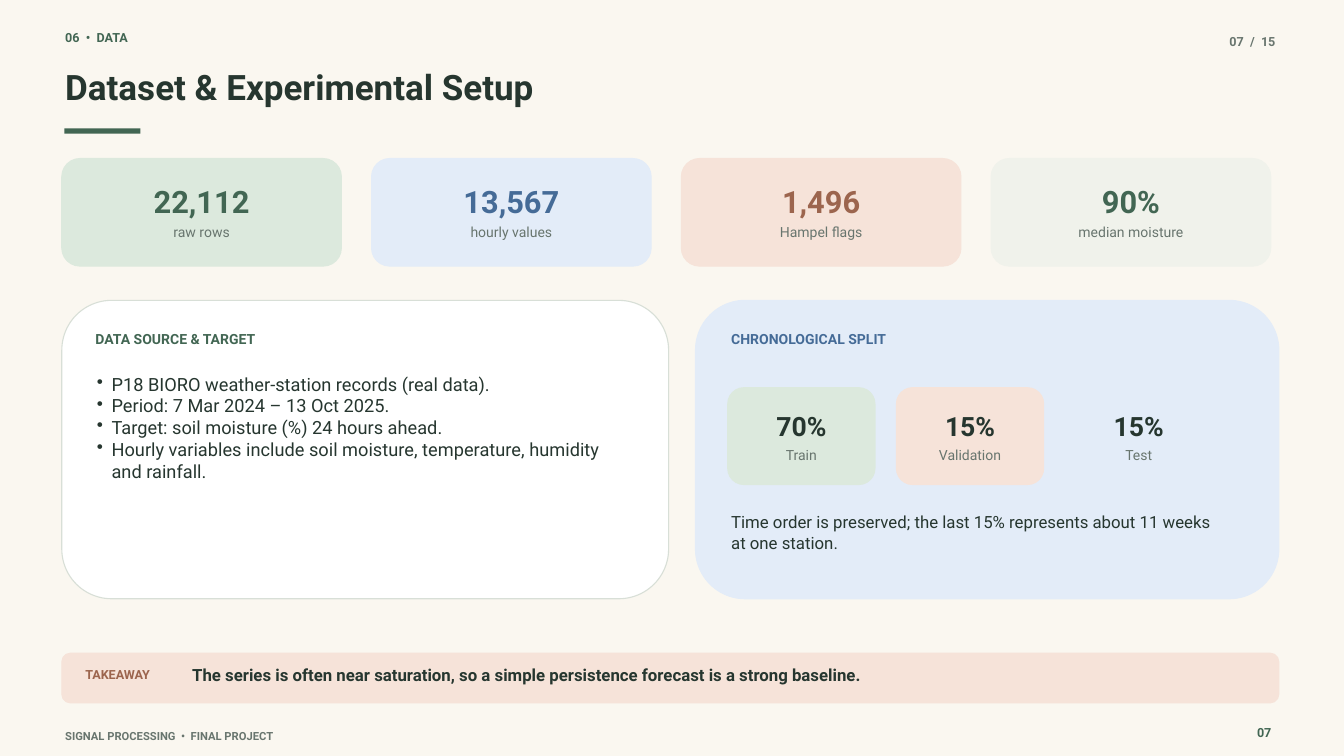
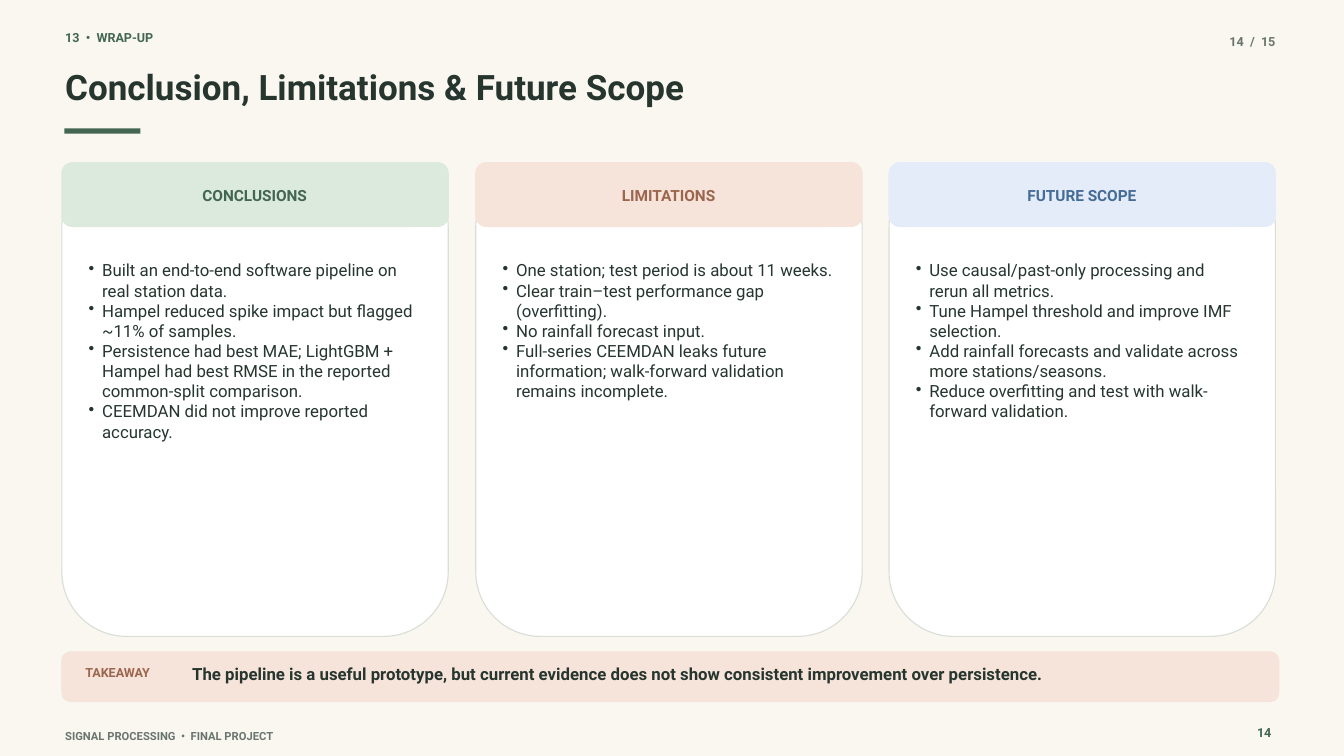
"""Build the dataset and conclusion slides of the signal processing project."""
from lxml import etree
from pptx import Presentation
from pptx import util as u
from pptx.dml.color import RGBColor
from pptx.enum import shapes, text
from pptx.oxml import ns

PX = 9144
FONT = "Roboto"
CREAM, WHITE, BORDER, INK, GREY = "FAF7F0", "FFFFFF", "D8DFD7", "26362F", "68756E"
GREEN, BLUE, RUST = "426653", "456B97", "9C654E"
MINT, SKY, PEACH, MIST = "DCE9DD", "E3ECF8", "F6E3D9", "F0F2EB"
DOT = "  •  "
LEFT, TEXT_LEFT, BAND_WIDTH = 92, 97, 1811
PAGE_COUNT = 15
FOOTER = DOT.join(["SIGNAL PROCESSING", "FINAL PROJECT"])

DATA = {
    "page": 7,
    "section": ["06", "DATA"],
    "title": "Dataset & Experimental Setup",
    "takeaway": "The series is often near saturation, so a simple persistence "
                "forecast is a strong baseline.",
    "takeaway_top": 972,
    "metrics": [
        ("22,112", "raw rows", MINT, GREEN),
        ("13,567", "hourly values", SKY, BLUE),
        ("1,496", "Hampel flags", PEACH, RUST),
        ("90%", "median moisture", MIST, GREEN),
    ],
    "source_heading": "DATA SOURCE & TARGET",
    "source": [
        "P18 BIORO weather-station records (real data).",
        "Period: 7 Mar 2024 – 13 Oct 2025.",
        "Target: soil moisture (%) 24 hours ahead.",
        "Hourly variables include soil moisture, temperature, humidity and rainfall.",
    ],
    "split_heading": "CHRONOLOGICAL SPLIT",
    "split": [
        ("70%", "Train", MINT),
        ("15%", "Validation", PEACH),
        ("15%", "Test", SKY),
    ],
    "split_note": "Time order is preserved; the last 15% represents about 11 weeks "
                  "at one station.",
}

WRAP_UP = {
    "page": 14,
    "section": ["13", "WRAP-UP"],
    "title": "Conclusion, Limitations & Future Scope",
    "takeaway": "The pipeline is a useful prototype, but current evidence does not show "
                "consistent improvement over persistence.",
    "takeaway_top": 970,
    "columns": [
        ("CONCLUSIONS", MINT, GREEN, [
            "Built an end-to-end software pipeline on real station data.",
            "Hampel reduced spike impact but flagged ~11% of samples.",
            "Persistence had best MAE; LightGBM + Hampel had best RMSE in the "
            "reported common-split comparison.",
            "CEEMDAN did not improve reported accuracy.",
        ]),
        ("LIMITATIONS", PEACH, RUST, [
            "One station; test period is about 11 weeks.",
            "Clear train–test performance gap (overfitting).",
            "No rainfall forecast input.",
            "Full-series CEEMDAN leaks future information; walk-forward validation "
            "remains incomplete.",
        ]),
        ("FUTURE SCOPE", SKY, BLUE, [
            "Use causal/past-only processing and rerun all metrics.",
            "Tune Hampel threshold and improve IMF selection.",
            "Add rainfall forecasts and validate across more stations/seasons.",
            "Reduce overfitting and test with walk-forward validation.",
        ]),
    ],
}


def rgb(code):
    """Turn a hex string into a colour."""
    return RGBColor.from_string(code)


def emu(*lengths):
    """Scale px lengths to EMU."""
    return [u.Emu(round(length * PX)) for length in lengths]


def spread(left, right, count, width):
    """Return the left edges of equal items that fill a span with equal gaps."""
    step = (right - left - width) / (count - 1)
    return [round(left + step * i) for i in range(count)]


def add_bullet(paragraph, indent):
    """Give a paragraph a round bullet with a hanging indent."""
    properties = paragraph._p.get_or_add_pPr()
    hang = emu(indent)[0]
    properties.set("marL", str(hang))
    properties.set("indent", str(-hang))
    etree.SubElement(properties, ns.qn("a:buChar")).set("char", "•")


def write(slide, box, lines, size, color, bold=False, align="LEFT", bullet=0):
    """Place a text box with one paragraph per line."""
    frame = slide.shapes.add_textbox(*emu(*box)).text_frame
    frame.word_wrap = True
    frame.margin_left = frame.margin_right = frame.margin_top = frame.margin_bottom = 0
    frame.text = "\n".join(lines) if isinstance(lines, list) else lines
    for paragraph in frame.paragraphs:
        if bullet:
            add_bullet(paragraph, bullet)
        paragraph.alignment = getattr(text.PP_ALIGN, align)
        paragraph.line_spacing = u.Pt(size * 1.2)
        for run in paragraph.runs:
            run.font.name, run.font.size, run.font.bold = FONT, u.Pt(size), bold
            run.font.color.rgb = rgb(color)


def panel(slide, box, radius, fill, border=None):
    """Draw a rounded panel, or a plain bar when the radius is zero."""
    preset = "ROUNDED_RECTANGLE" if radius else "RECTANGLE"
    shape = slide.shapes.add_shape(getattr(shapes.MSO_SHAPE, preset), *emu(*box))
    shape.shadow.inherit = False
    shape.fill.solid()
    shape.fill.fore_color.rgb = rgb(fill)
    if radius:
        shape.adjustments[0] = radius / min(box[2:])
        shape.line.color.rgb = rgb(border or fill)
        shape.line.width = u.Pt(1.2)
    else:
        shape.line.fill.background()


def new_slide(deck, content):
    """Add a slide with the shared header, takeaway band and footer."""
    slide = deck.slides.add_slide(deck.slide_layouts[6])
    page, top = f"{content['page']:02d}", content["takeaway_top"]
    write(slide, (TEXT_LEFT, 45, 818, 31), DOT.join(content["section"]), 13.5, GREEN, True)
    write(slide, (TEXT_LEFT, 97, 1793, 79), content["title"], 37.5, INK, True)
    panel(slide, (96, 191, 113, 8), 0, GREEN)
    write(slide, (1748, 51, 150, 26), f"{page}  /  {PAGE_COUNT}", 13.5, GREY, True, "RIGHT")
    panel(slide, (LEFT, top, BAND_WIDTH, 74), 13, PEACH)
    write(slide, (127, top + 20, 150, 20), "TAKEAWAY", 13.5, RUST, True)
    write(slide, (286, top + 17, 1576, 34), content["takeaway"], 18, INK, True)
    write(slide, (TEXT_LEFT, 1085, 1268, 16), FOOTER, 12, GREY, True)
    write(slide, (1828, 1079, 64, 23), page, 13.5, GREEN, True, "RIGHT")
    return slide


def figure_card(slide, box, radius, inset, rise, figure, label, size, fill, color):
    """Draw a card with a large figure above a small label."""
    left, top, width, height = box
    panel(slide, box, radius, fill)
    for line, offset, points, ink, bold in ((figure, rise, size, color, True),
                                            (label, height - 62 + (rise - 33) * 2, 15, GREY, False)):
        if line == label:
            offset = 97 if rise > 33 else 88
        write(slide, (left + inset, top + offset, width - 2 * inset, 34),
              line, points, ink, bold, "CENTER")


def build_data(deck, content):
    """Build the dataset slide."""
    slide = new_slide(deck, content)
    metrics = content["metrics"]
    for left, (figure, label, fill, color) in zip(spread(LEFT, 1891, len(metrics), 416), metrics):
        figure_card(slide, (left, 236, 416, 160), 27, 32, 36, figure, label, 33, fill, color)

    panel(slide, (LEFT, 447, 903, 444), 74, WHITE, BORDER)
    write(slide, (142, 492, 442, 30), content["source_heading"], 15, GREEN, True)
    write(slide, (144, 555, 778, 287), content["source"], 19.5, INK, bullet=22)

    panel(slide, (1035, 447, 868, 444), 74, SKY)
    write(slide, (1088, 492, 442, 30), content["split_heading"], 15, BLUE, True)
    split = content["split"]
    for left, (share, part, fill) in zip(spread(1083, 1804, len(split), 219), split):
        figure_card(slide, (left, 577, 219, 144), 24, 5, 33, share, part, 28.5, fill, INK)
    write(slide, (1088, 762, 728, 60), content["split_note"], 18, INK)


def build_wrap_up(deck, content):
    """Build the conclusion slide."""
    slide = new_slide(deck, content)
    columns, top, width = content["columns"], 242, 575
    for left, (heading, fill, color, points) in zip(
            spread(LEFT, 1898, len(columns), width), columns):
        panel(slide, (left, top, width, 705), 96, WHITE, BORDER)
        panel(slide, (left, top, width, 95), 16, fill)
        write(slide, (left + 32, top + 35, 510, 25), heading, 16.5, color, True, "CENTER")
        write(slide, (left + 40, top + 145, 493, 489), points, 18, INK, bullet=20)


def main():
    """Build and save the deck."""
    deck = Presentation()
    deck.slide_width, deck.slide_height = emu(2000, 1125)
    backdrop = deck.slide_master.background.fill
    backdrop.solid()
    backdrop.fore_color.rgb = rgb(CREAM)
    build_data(deck, DATA)
    build_wrap_up(deck, WRAP_UP)
    deck.save("out.pptx")


if __name__ == "__main__":
    main()
